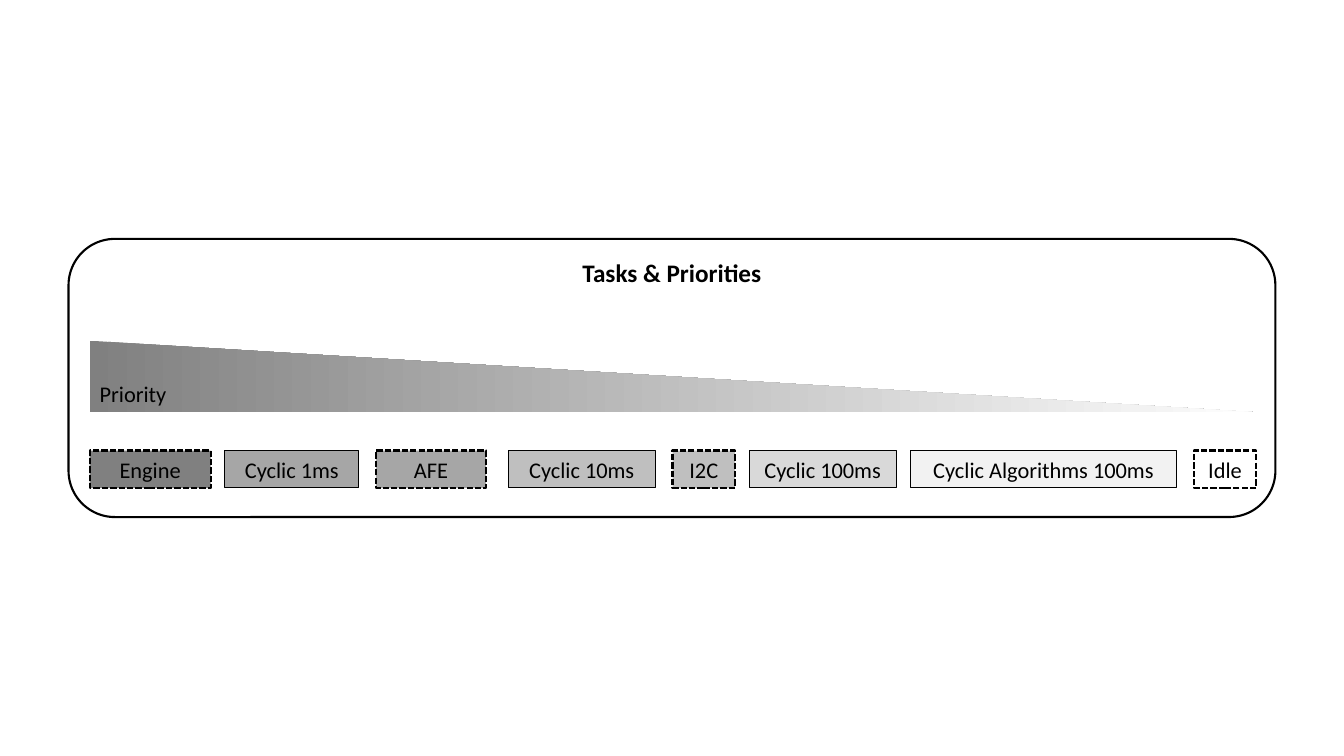
"""Build a slide of tasks ranked by priority."""
import copy

import pptx
import pptx.util
import pptx.dml.color
import pptx.enum.dml
import pptx.enum.shapes
import pptx.enum.text
import pptx.oxml.ns

RGB = pptx.dml.color.RGBColor
BLACK = RGB(0x00, 0x00, 0x00)
WHITE = RGB(0xFF, 0xFF, 0xFF)
GRAY = RGB(0x80, 0x80, 0x80)
MID = RGB(0xA6, 0xA6, 0xA6)
SOFT = RGB(0xBF, 0xBF, 0xBF)
LIGHT = RGB(0xD9, 0xD9, 0xD9)
PALE = RGB(0xF2, 0xF2, 0xF2)

FONT = "Calibri"
SHAPE = pptx.enum.shapes.MSO_SHAPE
ALIGN = pptx.enum.text.PP_ALIGN
ANCHOR = pptx.enum.text.MSO_ANCHOR
DASH = pptx.enum.dml.MSO_LINE.SQUARE_DOT

CELL = 0.1
LEFT = 8.9
TASK_ROW = 44.7
TASK_HIGH = 3.7
TASKS = [
    ("Engine", 8.9, 12, GRAY, True),
    ("Cyclic 1ms", 22.3, 13.3, MID, False),
    ("AFE", 37.3, 10.9, MID, True),
    ("Cyclic 10ms", 50.4, 14.6, SOFT, False),
    ("I2C", 66.7, 6.2, SOFT, True),
    ("Cyclic 100ms", 74.3, 14.6, LIGHT, False),
    ("Cyclic Algorithms 100ms", 90.3, 26.4, PALE, False),
    ("Idle", 118.4, 6.2, None, True),
]
STOPS = [(0, GRAY), (0.9, PALE), (1, WHITE)]


def add_box(slide, kind, col, row, wide, high):
    """Add a plain shape placed in grid cells."""
    spot = [pptx.util.Inches(n * CELL) for n in (col, row, wide, high)]
    box = slide.shapes.add_shape(kind, *spot)
    box.shadow.inherit = False
    return box


def set_fill(box, color):
    """Fill a shape with a color, or leave it clear."""
    if color is None:
        box.fill.background()
    else:
        box.fill.solid()
        box.fill.fore_color.rgb = color


def set_line(box, width):
    """Give a shape a black outline."""
    box.line.color.rgb = BLACK
    box.line.width = pptx.util.Pt(width)


def set_text(box, text, size, align, anchor, bold=False, wrap=True):
    """Write one styled paragraph in a shape."""
    frame = box.text_frame
    frame.word_wrap = wrap
    frame.vertical_anchor = anchor
    para = frame.paragraphs[0]
    para.text = text
    para.alignment = align
    para.font.name = FONT
    para.font.size = pptx.util.Pt(size)
    para.font.bold = bold
    para.font.color.rgb = BLACK


def add_panel(slide):
    """Add the rounded frame with its title."""
    panel = add_box(slide, SHAPE.ROUNDED_RECTANGLE, 6.8, 23.7, 119.7, 27.6)
    set_fill(panel, WHITE)
    set_line(panel, 1.5)
    set_text(panel, "Tasks & Priorities", 18, ALIGN.CENTER, ANCHOR.TOP,
             bold=True, wrap=False)


def add_wedge(slide):
    """Add the wedge that fades as priority falls."""
    wedge = add_box(slide, SHAPE.ISOSCELES_TRIANGLE, LEFT, 33.8, 115.7, 7.1)
    wedge.adjustments[0] = 0
    wedge.line.fill.background()
    wedge.fill.gradient()
    wedge.fill.gradient_angle = 0
    tag = pptx.oxml.ns.qn("a:gsLst")
    stops = next(wedge._element.iter(tag))
    stops.append(copy.deepcopy(stops[-1]))
    for stop, (place, color) in zip(wedge.fill.gradient_stops, STOPS):
        stop.position = place
        stop.color.rgb = color
    set_text(wedge, "Priority", 16, ALIGN.LEFT, ANCHOR.BOTTOM, wrap=False)


def add_task(slide, name, col, wide, color, dashed):
    """Add one task box, dashed or solid."""
    task = add_box(slide, SHAPE.RECTANGLE, col, TASK_ROW, wide, TASK_HIGH)
    set_fill(task, color)
    set_line(task, 1.5 if dashed else 0.75)
    if dashed:
        task.line.dash_style = DASH
    set_text(task, name, 16, ALIGN.CENTER, ANCHOR.MIDDLE)


def main():
    """Build and save the slide."""
    deck = pptx.Presentation()
    deck.slide_width = pptx.util.Inches(13.33)
    deck.slide_height = pptx.util.Inches(7.5)
    slide = deck.slides.add_slide(deck.slide_layouts[6])
    add_panel(slide)
    add_wedge(slide)
    for task in TASKS:
        add_task(slide, *task)
    deck.save("out.pptx")


if __name__ == "__main__":
    main()
